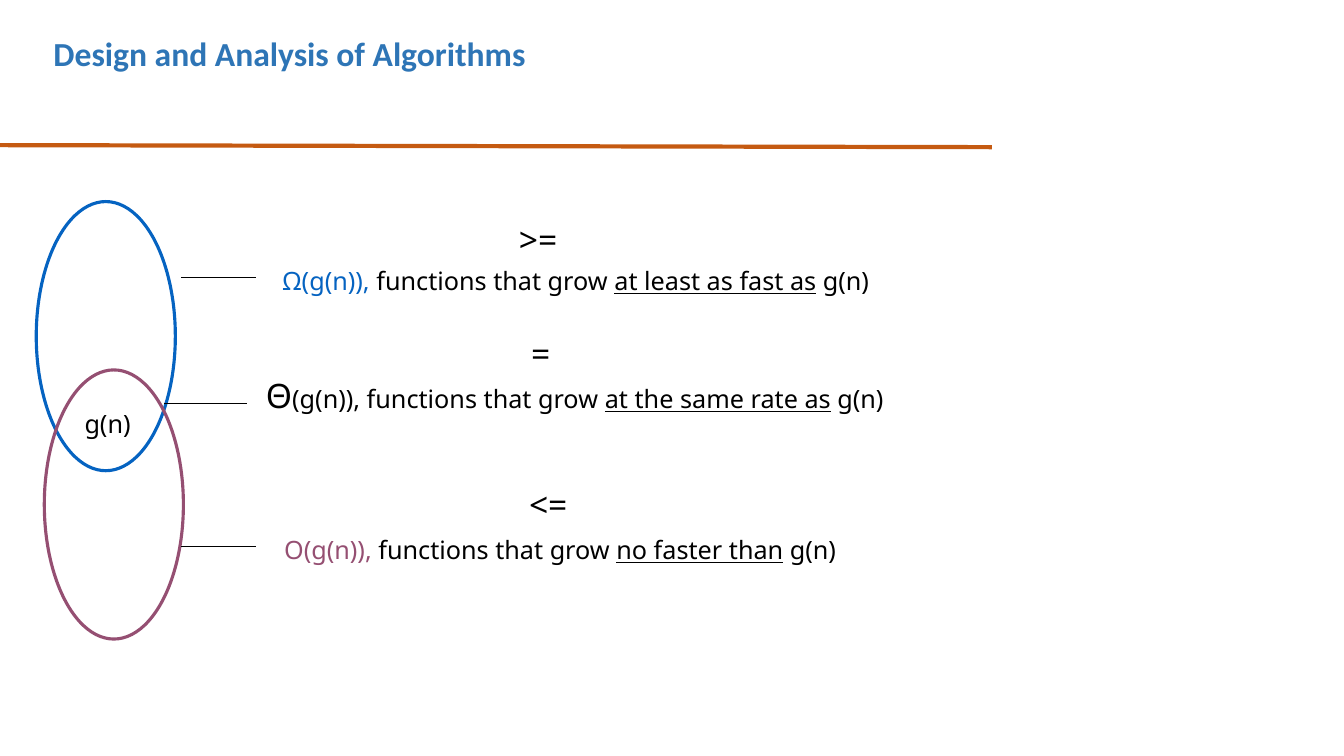
from pptx import Presentation
from pptx.dml.color import RGBColor
from pptx.enum.shapes import MSO_CONNECTOR, MSO_SHAPE
from pptx.enum.text import MSO_ANCHOR, PP_ALIGN
from pptx.oxml.ns import qn
from pptx.util import Inches, Pt
from lxml.etree import SubElement

BLACK = RGBColor(0x00, 0x00, 0x00)
BLUE = RGBColor(0x05, 0x63, 0xC1)
PLUM = RGBColor(0x95, 0x4F, 0x72)
RUST = RGBColor(0xC5, 0x5A, 0x11)
SKY = RGBColor(0x2E, 0x75, 0xB6)
COLS, ROWS = 160, 90


class Page:
    font = "Noto Sans"
    small, large = 18, 24

    def __init__(self, deck):
        self.cell = deck.slide_width / COLS
        self.row = deck.slide_height / ROWS
        self.slide = deck.slides.add_slide(deck.slide_layouts[5])

    def place(self, left, top, width, height):
        return (round(left * self.cell), round(top * self.row),
                round(width * self.cell), round(height * self.row))

    def style(self, run, size, color, font=None):
        run.font.name = font or self.font
        run.font.size = Pt(size)
        run.font.color.rgb = color

    def title(self, text, *area):
        head = self.slide.shapes.title
        head.left, head.top, head.width, head.height = self.place(*area)
        frame = head.text_frame
        frame.text = text
        frame.vertical_anchor = MSO_ANCHOR.MIDDLE
        line = frame.paragraphs[0]
        line.alignment = PP_ALIGN.LEFT
        self.style(line.runs[0], self.large, SKY, "Calibri")
        line.runs[0].font.bold = True

    def line(self, start, end, color=BLACK, weight=0.75):
        ends = self.place(*start, *end)
        rule = self.slide.shapes.add_connector(MSO_CONNECTOR.STRAIGHT, *ends)
        rule.line.color.rgb = color
        rule.line.width = Pt(weight)
        SubElement(rule._element.spPr, qn("a:effectLst"))

    def oval(self, color, *area):
        ring = self.slide.shapes.add_shape(MSO_SHAPE.OVAL, *self.place(*area))
        ring.shadow.inherit = False
        ring.fill.background()
        ring.line.color.rgb = color
        ring.line.width = Pt(2.25)

    def text(self, parts, *area):
        box = self.slide.shapes.add_textbox(*self.place(*area))
        box.text_frame.word_wrap = True
        line = box.text_frame.paragraphs[0]
        for words, size, color, under in parts:
            run = line.add_run()
            run.text = words
            self.style(run, size, color)
            run.font.underline = under

    def label(self, words, size, *area):
        self.text([(words, size, BLACK, False)], *area)

    def growth(self, lead, rest, rate, *area):
        small = self.small
        self.text([lead + (False,), (rest, small, BLACK, False),
                   (rate, small, BLACK, True),
                   (" g(n)", small, BLACK, False)], *area)


def main():
    deck = Presentation()
    deck.slide_width, deck.slide_height = Inches(13.33), Inches(7.5)
    page = Page(deck)
    small, large = page.small, page.large

    page.line((-0.12, 17.28), (118.08, 17.52), RUST, 3)
    page.title("Design and Analysis of Algorithms", 5.16, 3.36, 98.4, 6)

    for color, left, top in ((BLUE, 4.32, 24), (PLUM, 5.28, 44.04)):
        page.oval(color, left, top, 16.56, 32.04)
    page.label("g(n)", small, 8.88, 48, 8.88, 4.8)

    for left, right, row in ((21.6, 30.48, 33), (19.56, 29.4, 48),
                             (21.6, 30.48, 65.04)):
        page.line((left, row), (right, row))

    grow = " functions that grow "
    page.growth(("Ω(g(n)),", small, BLUE), grow, "at least as fast as",
                32.4, 30.96, 79.08, 4.8)
    page.growth(("Θ", large, BLACK), "(g(n))," + grow, "at the same rate as",
                30.48, 44.04, 82.56, 6)
    page.growth(("O(g(n)),", small, PLUM), grow, "no faster than",
                32.64, 63, 73.8, 4.8)

    for sign, left, top in ((">=", 60.6, 25.44), ("=", 62.04, 39),
                            ("<=", 61.8, 57)):
        page.label(sign, large, left, top, 9.12, 6)

    deck.save("out.pptx")


if __name__ == "__main__":
    main()
